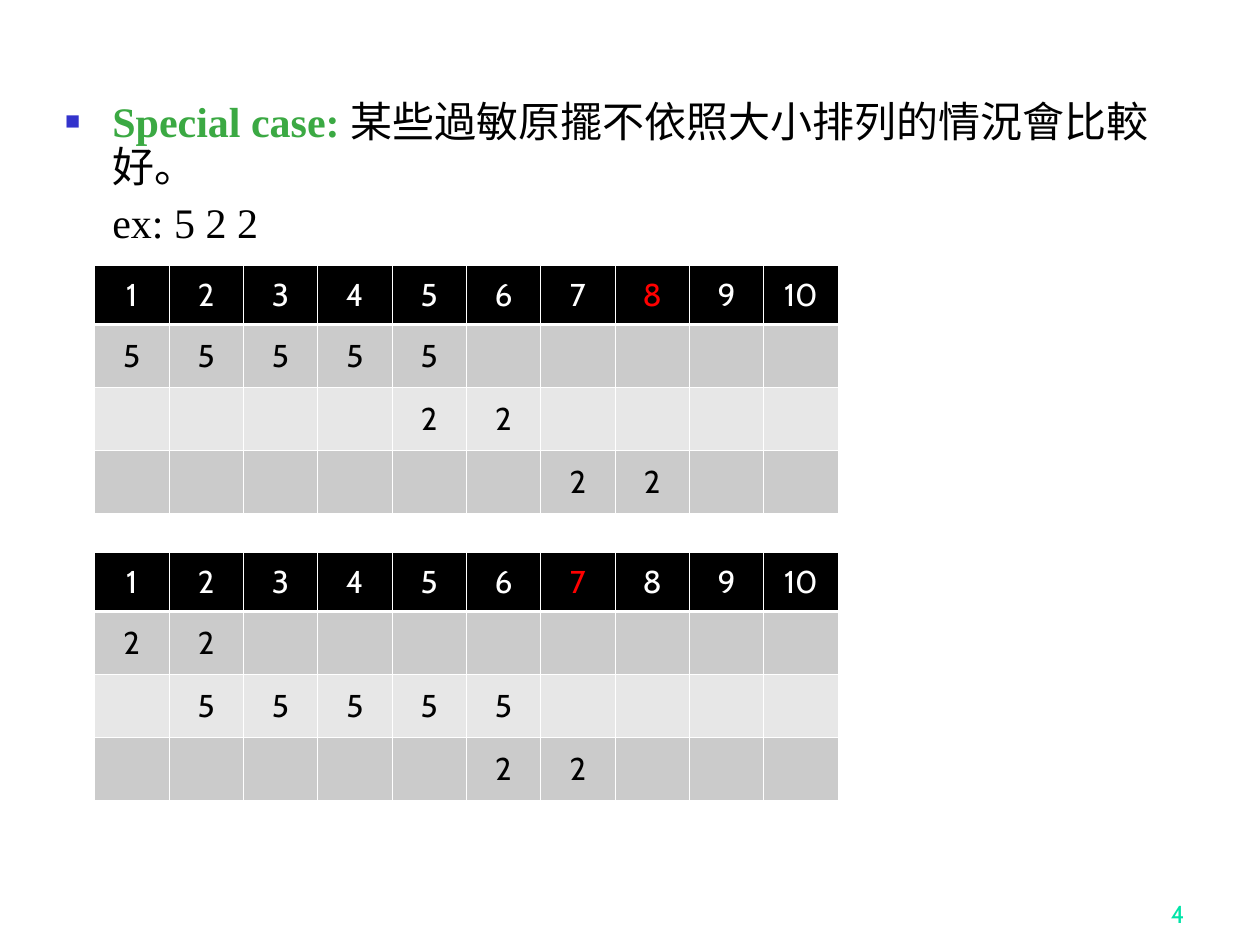
from lxml import etree
from pptx import Presentation
from pptx import util as u
from pptx.dml.color import RGBColor
from pptx.enum import text
from pptx.oxml import ns

BLACK = RGBColor(0x00, 0x00, 0x00)
WHITE = RGBColor(0xFF, 0xFF, 0xFF)
RED = RGBColor(0xFF, 0x00, 0x00)
GREEN = RGBColor(0x3B, 0xA9, 0x43)
BLUE = RGBColor(0x33, 0x33, 0xCC)
MINT = RGBColor(0x00, 0xE4, 0xA8)
DARK_BAND = RGBColor(0xCB, 0xCB, 0xCB)
LIGHT_BAND = RGBColor(0xE7, 0xE7, 0xE7)

SLOTS = 10
THIN, THICK = 0.45, 1.47


def sub(parent, tag, **attrs):
    return etree.SubElement(parent, ns.qn(tag), attrs)


class Deck:
    """Holds the fonts and the current slide."""
    serif, sans = "Times New Roman", "Cabin"

    def __init__(self, prs):
        self.s = prs.slides.add_slide(prs.slide_layouts[1])
        title = self.s.shapes.title
        title.element.getparent().remove(title.element)

    def run(self, p, words, color, **fmt):
        r = p.add_run()
        r.text = words
        for key, value in fmt.items():
            setattr(r.font, key, value)
        r.font.color.rgb = color

    def body(self, left, top, width, height, paragraphs):
        """Fill the body placeholder; only its first paragraph has a bullet."""
        sp = self.s.placeholders[1]
        sp.left, sp.top, sp.width, sp.height = map(u.Pt, (left, top, width, height))
        tf = sp.text_frame
        tf.auto_size = text.MSO_AUTO_SIZE.NONE
        for i, runs in enumerate(paragraphs):
            p = tf.add_paragraph() if i else tf.paragraphs[0]
            p.line_spacing = 0.9
            p.space_before = u.Pt(6 if i else 0)
            pPr = p._p.get_or_add_pPr()
            pPr.set("marL", str(u.Pt(27)))
            pPr.set("indent", str(0 if i else -u.Pt(27)))
            if i:
                sub(pPr, "a:buNone")
            else:
                sub(sub(pPr, "a:buClr"), "a:srgbClr", val=str(BLUE))
                sub(pPr, "a:buSzPct", val="60000")
                sub(pPr, "a:buFont", typeface="Arial")
                sub(pPr, "a:buChar", char="■")
            for words, color, bold in runs:
                self.run(p, words, color, name=self.serif, size=u.Pt(24), bold=bold)

    def page_number(self, left, top, width, height, number):
        sp = self.s.shapes.add_textbox(*map(u.Pt, (left, top, width, height)))
        tf = sp.text_frame
        tf.word_wrap = True
        tf.vertical_anchor = text.MSO_ANCHOR.BOTTOM
        p = tf.paragraphs[0]
        p.alignment = text.PP_ALIGN.RIGHT
        self.run(p, number, MINT, name=self.sans, size=u.Pt(14))

    def cell(self, cell, words, color, fill, top=THIN, bottom=THIN):
        tcPr = cell._tc.get_or_add_tcPr()
        for side, width in zip("LRTB", (THIN, THIN, top, bottom)):
            ln = sub(tcPr, f"a:ln{side}", w=str(u.Pt(width)))
            sub(sub(ln, "a:solidFill"), "a:srgbClr", val=str(WHITE))
        cell.fill.solid()
        cell.fill.fore_color.rgb = fill
        cell.vertical_anchor = text.MSO_ANCHOR.MIDDLE
        p = cell.text_frame.paragraphs[0]
        p.alignment = text.PP_ALIGN.CENTER
        if words:
            self.run(p, words, color, name=self.sans, size=u.Pt(18))
        else:
            end = sub(p._p, "a:endParaRPr", sz="2400")
            sub(end, "a:latin", typeface=self.sans)

    def schedule(self, top, bars, finish):
        """Draw a slot table; each bar is (first slot, length)."""
        rows = len(bars) + 1
        frame = self.s.shapes.add_table(rows, SLOTS, u.Pt(54), u.Pt(top),
                                        u.Pt(42.5 * SLOTS), u.Pt(34 * rows))
        table = frame.table
        for slot in range(1, SLOTS + 1):
            self.cell(table.cell(0, slot - 1), str(slot),
                      RED if slot == finish else WHITE, BLACK, bottom=THICK)
            for row, (first, length) in enumerate(bars, 1):
                words = str(length) if first <= slot < first + length else ""
                self.cell(table.cell(row, slot - 1), words, BLACK,
                          DARK_BAND if row % 2 else LIGHT_BAND,
                          top=THICK if row == 1 else THIN)


def main():
    prs = Presentation()
    prs.slide_width, prs.slide_height = u.Pt(720), u.Pt(540)
    deck = Deck(prs)
    deck.page_number(534, 498, 150, 36, "4")
    deck.body(30, 54, 636, 443, [
        [("Special case: ", GREEN, True),
         ("某些過敏原擺不依照大小排列的情況會比較好。", BLACK, False)],
        [("ex: 5 2 2", BLACK, False)],
    ])
    deck.schedule(151.5, [(1, 5), (5, 2), (7, 2)], finish=8)
    deck.schedule(315.5, [(1, 2), (2, 5), (6, 2)], finish=7)
    prs.save("out.pptx")


if __name__ == "__main__":
    main()
